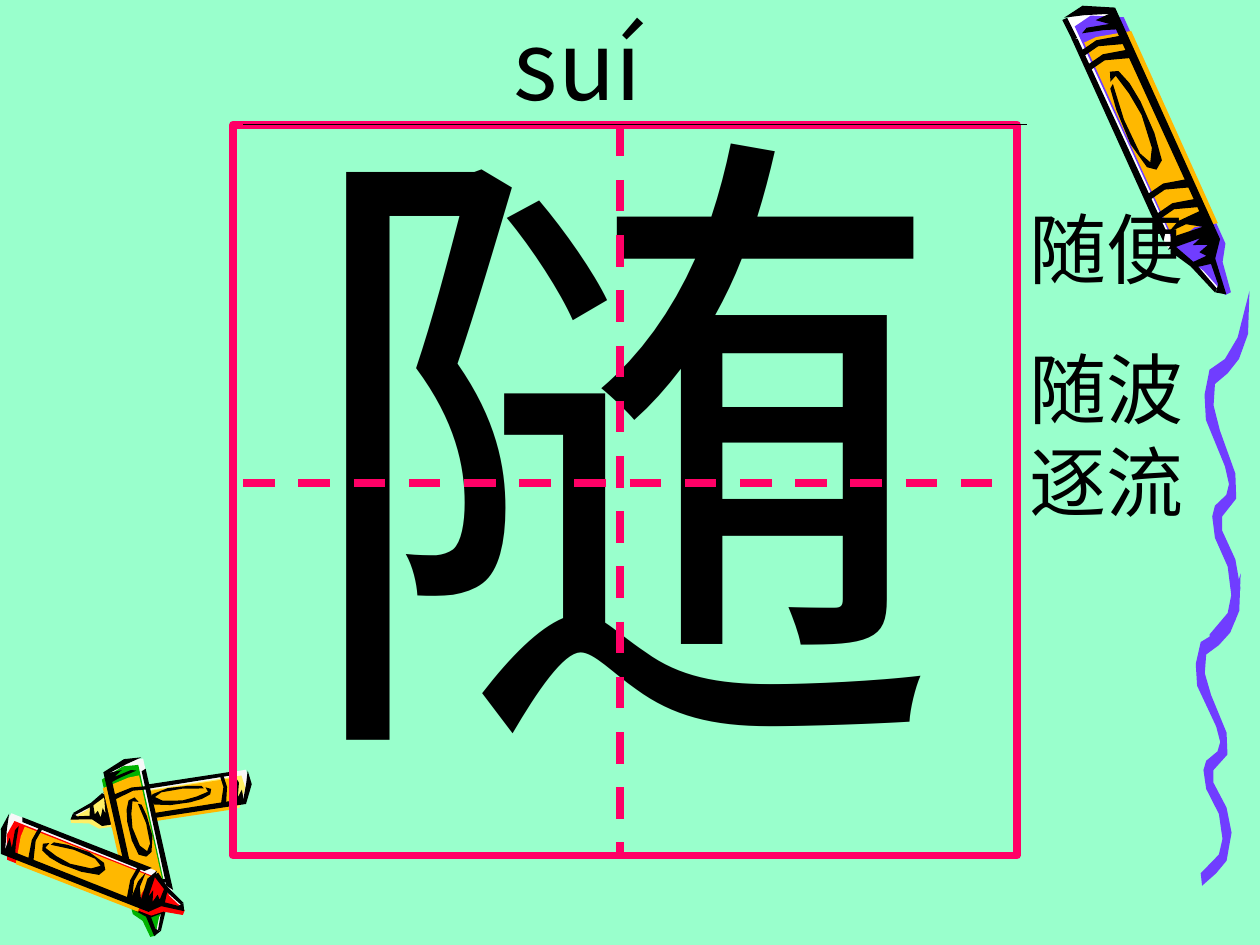
from math import hypot

from lxml.etree import SubElement
from pptx import Presentation
from pptx.dml.color import RGBColor
from pptx.enum.dml import MSO_LINE
from pptx.enum.shapes import MSO_CONNECTOR, MSO_SHAPE
from pptx.enum.text import MSO_AUTO_SIZE
from pptx.oxml.ns import qn
from pptx.util import Inches, Pt

UNIT = Inches(0.01)  # the page grid: 1000 columns by 750 rows
BLACK, PINK, PURPLE, ORANGE = "000000", "FF0066", "703DFF", "FFB800"
RED, GREEN, YELLOW, WHITE, PALE = "FF0000", "00B200", "FFEF66", "FFFFFF", "F8F8F8"
HAN_FONT = "Noto Sans CJK SC"


def color(value):
    return RGBColor.from_string(value)


def add_outline(points, fill):
    """Draw a closed, filled outline through points on the page grid."""
    corners = [(column * UNIT, row * UNIT) for column, row in points]
    builder = page.shapes.build_freeform(*corners[0], scale=1.0)
    builder.add_line_segments(corners[1:], close=True)
    outline = builder.convert_to_shape()
    outline.shadow.inherit = False
    outline.fill.solid()
    outline.fill.fore_color.rgb = color(fill)
    outline.line.fill.background()


deck = Presentation()
deck.slide_width, deck.slide_height = 1000 * UNIT, 750 * UNIT
page = deck.slides.add_slide(deck.slide_layouts[6])
page.background.fill.solid()
page.background.fill.fore_color.rgb = color("99FFCC")

# One crayon serves for all four. Each point is (along, across):
# along runs from 0 at the tail to 100 at the tip,
# across runs from -100 on the lit side to 100 on the shaded side.
coat = [(-1, -108), (-2, -32), (3, 84), (83, 70), (88, 29),
        (98, 8), (98, -17), (88, -54), (79, -115)]
wax = [(along + 3, across + 30) for along, across in coat]
paper = [(79, -79), (77, 16), (79, 107), (11, 118), (8, -18), (8, -71)]
grain_ring = [
    # outer rim
    (25, -54), (32, -68), (44, -75), (53, -54), (55, -24), (53, 11),
    (44, 30), (33, 33), (26, 24), (21, 5), (20, -27), (23, -42),
    # inner rim, walked back
    (22, -13), (29, 5), (37, 14), (48, -4), (52, -34), (48, -56), (36, -57), (24, -37)]
lit_edge = [(5, -110), (77, -120), (74, -92), (6, -88)]
shaded_edge = [
    # shoulder under the paper, then up the inside to the tail
    (80, -117), (77, -62), (78, 46), (75, -9), (75, -87), (73, -32), (73, 60),
    (3, 66), (0, -25), (-2, -101),
    # round the tail and down the outside to the tip
    (-3, -15), (2, 99), (84, 88), (89, 38), (101, 18), (99, -17),
    # jagged wax on the way back
    (97, 5), (90, 14), (89, -42), (87, -56), (87, 11), (85, -8), (84, 35), (82, -20), (81, 18)]
tip_edge = [(81, -110), (88, -63), (99, -19), (98, -6), (88, -40), (79, -90)]
tail_shade = [(5, -63), (7, 20), (9, 81), (3, 75), (3, 8), (6, 51), (4, -37)]
band = [(0, -100), (-1, -27), (2, 75), (-1, 74), (-3, -23), (-2, -98)]

# Tail, tip, half width (negative mirrors the lit side), coat, wax, places of the bands
crayons = [
    ((865, 10), (969, 233), 20, WHITE, PURPLE, (12, 17, 63, 70)),
    ((196, 625), (57, 648), 13, PALE, YELLOW, (14, 72)),
    ((97, 607), (125, 741), -16, PALE, GREEN, (17, 72)),
    ((4, 662), (146, 720), -16, PALE, RED, (17, 72)),
]
for tail, tip, half_width, coat_fill, wax_fill, band_places in crayons:
    run, rise = tip[0] - tail[0], tip[1] - tail[1]
    length = hypot(run, rise)
    side = (rise / length * half_width, -run / length * half_width)
    bands = [[(along + place, across) for along, across in band] for place in band_places]
    ink = [tail_shade, grain_ring, lit_edge, shaded_edge, tip_edge] + bands
    layers = [(coat, coat_fill), (wax, wax_fill), (paper, ORANGE)]
    for part, fill in layers + [(stroke, BLACK) for stroke in ink]:
        add_outline([(tail[0] + (run * along + side[0] * across) / 100,
                      tail[1] + (rise * along + side[1] * across) / 100)
                     for along, across in part], fill)

# One wavy stroke, in percent of its box, is stretched into two boxes
left_edge_upward = [
    (11, 96), (51, 90), (59, 85), (51, 77), (23, 69), (17, 63), (23, 60), (48, 57),
    (54, 54), (45, 49), (3, 36), (0, 29), (11, 22), (45, 19), (73, 13), (99, 0)]
right_edge_downward = [
    (96, 12), (76, 19), (51, 23), (23, 26), (20, 32), (34, 39), (68, 51), (70, 58),
    (39, 63), (39, 67), (68, 75), (79, 83), (68, 92), (45, 96), (14, 100)]
for box_left, box_top, box_width, box_height in [(949, 455, 36, 248), (956, 231, 36, 284)]:
    add_outline([(box_left + box_width * across / 100, box_top + box_height * down / 100)
                 for across, down in left_edge_upward + right_edge_downward], PURPLE)

# Text boxes: place, paragraphs, size, font, wrap; the big character comes first
texts = [
    ((225, 28, 534, 627), ["随"], 370, "Times New Roman", False),
    ((398, 0, 386, 100), ["suí"], 54, HAN_FONT, True),
    ((807, 155, 169, 268), ["随便", "随波逐流"], 44, "Arial", True),
]
for place, paragraphs, size, font, wrap in texts:
    box = page.shapes.add_textbox(*(value * UNIT for value in place))
    frame = box.text_frame
    frame.word_wrap = wrap
    frame.auto_size = MSO_AUTO_SIZE.SHAPE_TO_FIT_TEXT
    for index, text in enumerate(paragraphs):
        para = frame.add_paragraph() if index else frame.paragraphs[0]
        if index:
            para.space_before = Pt(27.5)
        span = para.add_run()
        span.text = text
        for name, value in {"size": Pt(size), "name": font}.items():
            setattr(span.font, name, value)
        span.font.color.rgb = color(BLACK)
        SubElement(span.font._element, qn("a:ea"), typeface=HAN_FONT)

# Practice square around the character, with its dashed guides
left, top, width, height = 185, 99, 622, 580
right, bottom = left + width, top + height
square = page.shapes.add_shape(
    MSO_SHAPE.RECTANGLE, *(value * UNIT for value in (left, top, width, height)))
square.shadow.inherit = False
square.fill.background()
square.line.color.rgb = color(PINK)
square.line.width = Pt(4.5)

guide = {"width": Pt(4.5), "dash_style": MSO_LINE.DASH}
lines = [
    ((845, 15, 853, 31), BLACK, {"width": Pt(3)}),  # tail corner of the large crayon
    ((193, 383, right, 383), PINK, guide),
    ((492, top, 492, bottom), PINK, guide),
    ((193, top, 815, top), BLACK, {"width": Pt(0.75)}),
]
for ends, stroke, formats in lines:
    line = page.shapes.add_connector(MSO_CONNECTOR.STRAIGHT, *(value * UNIT for value in ends))
    SubElement(line._element.spPr, qn("a:effectLst"))
    line.line.color.rgb = color(stroke)
    for name, value in formats.items():
        setattr(line.line, name, value)

deck.save("out.pptx")
